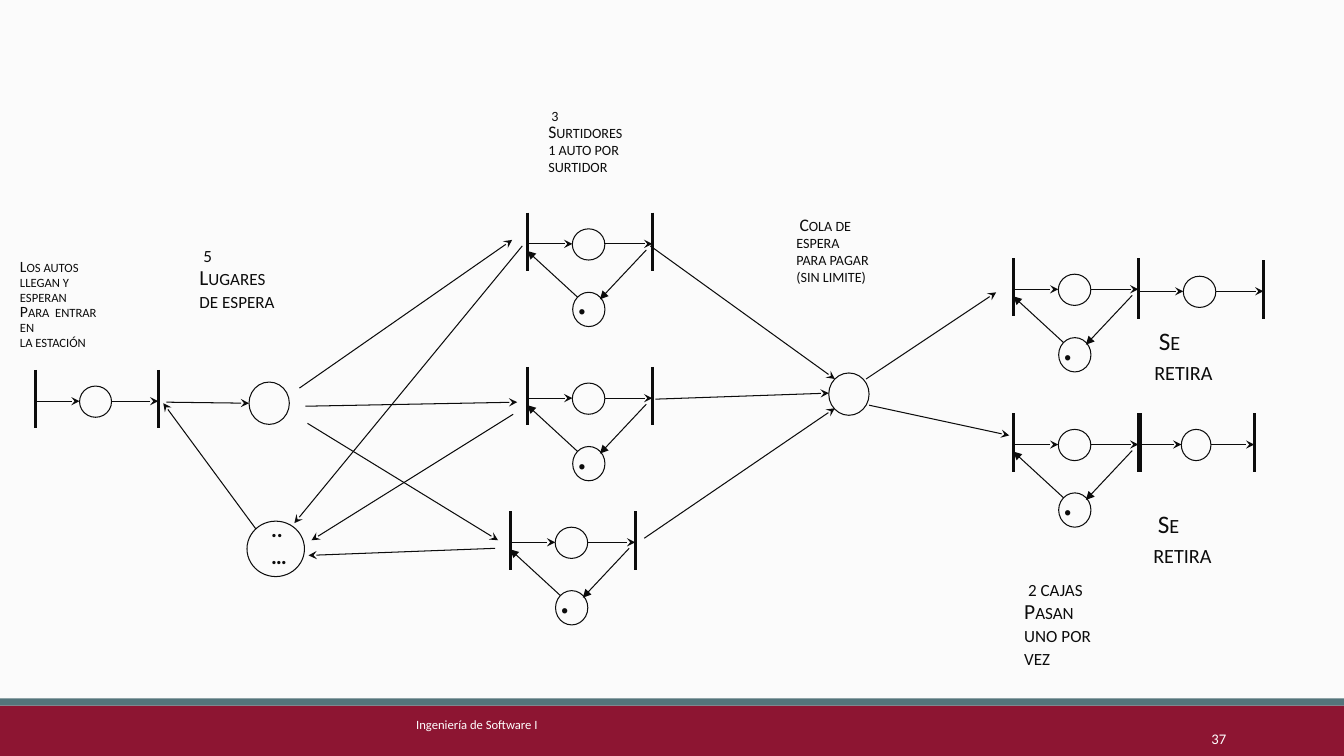
"""Build the Petri net slide of a petrol station with pumps, queues and cash desks."""
from dataclasses import dataclass
from typing import Any

import lxml.etree
import pptx
import pptx.dml.color
import pptx.enum.shapes
import pptx.enum.text
import pptx.oxml
import pptx.oxml.ns
import pptx.util

Inches = pptx.util.Inches
Pt = pptx.util.Pt
RGBColor = pptx.dml.color.RGBColor
SHAPE = pptx.enum.shapes.MSO_SHAPE
ANCHOR = pptx.enum.text.MSO_ANCHOR
ALIGN = pptx.enum.text.PP_ALIGN

INK = RGBColor(0x0C, 0x0C, 0x0C)
PAPER = RGBColor(0xFB, 0xFB, 0xFB)
WHITE = RGBColor(0xFF, 0xFF, 0xFF)
CRIMSON = RGBColor(0x8D, 0x15, 0x32)
TEAL = RGBColor(0x54, 0x74, 0x7B)
BAR_HEIGHT = 0.58


@dataclass(frozen=True)
class Caption:
    left: float
    top: float
    paragraphs: tuple[str, ...]
    size: float
    spacing: float = 1.0
    width: float = 1.0
    height: float = 1.0
    color: RGBColor = INK
    small_caps: bool = True
    bold: bool = False
    anchor: Any = ANCHOR.MIDDLE
    align: Any = ALIGN.LEFT


@dataclass(frozen=True)
class Place:
    left: float
    top: float
    width: float
    height: float


@dataclass(frozen=True)
class Arc:
    start: tuple[float, float]
    end: tuple[float, float]
    head: str = "stealth"
    weight: float = 0.75


@dataclass(frozen=True)
class Lane:
    left: float
    top: float
    span: float = 1.24
    has_token: bool = False


CAPTIONS = (
    Caption(4.03, 7.06, ("Ingeniería de Software I",), 9, width=5.27, height=0.4,
            color=WHITE, small_caps=False, anchor=ANCHOR.TOP),
    Caption(10.83, 7.06, ("37",), 10.5, width=1.43, height=0.4,
            color=WHITE, small_caps=False, anchor=ANCHOR.BOTTOM, align=ALIGN.RIGHT),
    Caption(11.35, 3.03, (" Se retira",), 18),
    Caption(5.34, 0.91, (" 3 Surtidores", "1 auto por surtidor"), 12.6, 0.8),
    Caption(7.8, 2, (" Cola de espera", "para pagar (sin limite)"), 12.6, 0.8),
    Caption(1.88, 2.26, (" 5 Lugares de espera",), 15.3, 0.9),
    Caption(0.1, 2.53, ("Los autos", "llegan y esperan", "Para  entrar en", "la estación"), 11.2, 0.8),
    Caption(10.06, 5.69, (" 2 cajas", "Pasan uno por vez"), 15.3, 0.9),
    Caption(11.34, 4.84, (" Se retira",), 18),
    Caption(2.59, 5.05, ("..", "…"), 19.8, 0.8, width=1.31, height=0.67, bold=True),
)

LANES = (
    Lane(0.35, 3.67, 1.22),
    Lane(5.23, 2.11, has_token=True),
    Lane(5.23, 3.64, has_token=True),
    Lane(5.06, 5.07, has_token=True),
    Lane(10.05, 2.56, has_token=True),
    Lane(10.05, 4.1, has_token=True),
    Lane(11.29, 2.58),
    Lane(11.31, 4.1, 1.13),
)

QUEUES = (
    Place(2.47, 3.79, 0.4, 0.42),
    Place(8.22, 3.7, 0.4, 0.42),
    Place(2.45, 5.17, 0.57, 0.55),
)

ARCS = (
    Arc((1.65, 3.99), (2.47, 4)),
    Arc((2.97, 3.85), (5.08, 2.38)),
    Arc((3.03, 4.03), (5.13, 3.99)),
    Arc((3.05, 4.2), (4.94, 5.36)),
    Arc((6.45, 2.44), (8.28, 3.76)),
    Arc((6.5, 3.96), (8.22, 3.9)),
    Arc((6.39, 5.34), (8.28, 4.05)),
    Arc((8.59, 3.76), (9.88, 2.9)),
    Arc((8.62, 4.02), (10.01, 4.32)),
    Arc((2.54, 5.25), (1.62, 4)),
    Arc((5.18, 2.44), (2.92, 5.19)),
    Arc((5.09, 4.11), (3.09, 5.36)),
    Arc((4.91, 5.44), (3.06, 5.51)),
)


def apply_format(target: Any, values: dict[str, Any]) -> None:
    for attribute, value in values.items():
        setattr(target, attribute, value)


def draw_band(slide: Any, top: float, height: float, color: RGBColor) -> None:
    band = slide.shapes.add_shape(SHAPE.RECTANGLE, 0, Inches(top), Inches(13.33), Inches(height))
    band.shadow.inherit = False
    band.fill.solid()
    band.fill.fore_color.rgb = color
    band.line.fill.background()


def draw_place(slide: Any, place: Place) -> None:
    circle = slide.shapes.add_shape(
        SHAPE.OVAL, *map(Inches, (place.left, place.top, place.width, place.height)))
    circle.shadow.inherit = False
    circle.fill.background()
    circle.line.color.rgb = INK
    circle.line.width = Pt(0.75)


def draw_arc(slide: Any, arc: Arc) -> None:
    line = slide.shapes.add_connector(
        pptx.enum.shapes.MSO_CONNECTOR.STRAIGHT, *map(Inches, arc.start + arc.end))
    line.line.color.rgb = INK
    line.line.width = Pt(arc.weight)
    if arc.head:
        outline = line.line._get_or_add_ln()
        lxml.etree.SubElement(outline, pptx.oxml.ns.qn("a:tailEnd"), type=arc.head)
    lxml.etree.SubElement(line._element.spPr, pptx.oxml.ns.qn("a:effectLst"))


def add_frame(slide: Any, left: float, top: float, width: float, height: float, anchor: Any) -> Any:
    box = slide.shapes.add_textbox(*map(Inches, (left, top, width, height)))
    apply_format(box.text_frame, {"word_wrap": True, "vertical_anchor": anchor})
    return box


def write_run(paragraph: Any, text: str, size: float, color: RGBColor, bold: bool, small_caps: bool) -> None:
    run = paragraph.add_run()
    run.text = text
    apply_format(run.font, {"name": "Calibri", "size": Pt(size), "bold": bold})
    run.font.color.rgb = color
    if small_caps:
        run._r.get_or_add_rPr().set("cap", "small")


def draw_caption(slide: Any, caption: Caption) -> None:
    frame = add_frame(slide, caption.left, caption.top, caption.width, caption.height,
                      caption.anchor).text_frame
    for index, text in enumerate(caption.paragraphs):
        paragraph = frame.add_paragraph() if index else frame.paragraphs[0]
        apply_format(paragraph, {"alignment": caption.align, "line_spacing": caption.spacing})
        write_run(paragraph, text, caption.size, caption.color, caption.bold, caption.small_caps)


def draw_token_loop(slide: Any, x: float, y: float) -> None:
    draw_place(slide, Place(x + 0.45, y + 0.79, 0.32, 0.34))
    token = add_frame(slide, x + 0.48, y + 0.65, 0.43, 0.7, ANCHOR.MIDDLE)
    token.rotation = 90
    for text, size, bold in ((" ", 24, False), (".", 32, True)):
        write_run(token.text_frame.paragraphs[0], text, size, INK, bold, True)
    draw_arc(slide, Arc((x + 1.18, y + 0.37), (x + 0.72, y + 0.86), "triangle"))
    draw_arc(slide, Arc((x + 0.5, y + 0.84), (x, y + 0.38), "triangle"))


def draw_lane(slide: Any, lane: Lane) -> None:
    x, y, right = lane.left, lane.top, lane.left + lane.span
    entry, diameter = x + 0.36 * lane.span, 0.26 * lane.span
    middle = y + 0.31
    draw_place(slide, Place(entry, y + 0.16, diameter, 0.31))
    for bar in (x, right):
        draw_arc(slide, Arc((bar, y), (bar, y + BAR_HEIGHT), "", 2))
    draw_arc(slide, Arc((x, middle), (entry, middle)))
    draw_arc(slide, Arc((entry + diameter, middle), (right, middle)))
    if lane.has_token:
        draw_token_loop(slide, x, y)


def main() -> None:
    deck = pptx.Presentation()
    apply_format(deck, {"slide_width": Inches(13.33), "slide_height": Inches(7.5)})
    slide = deck.slides.add_slide(deck.slide_layouts[6])
    slide.background.fill.solid()
    slide.background.fill.fore_color.rgb = PAPER
    draw_band(slide, 7, 0.5, CRIMSON)
    draw_band(slide, 6.93, 0.07, TEAL)
    for draw, parts in ((draw_caption, CAPTIONS), (draw_lane, LANES), (draw_place, QUEUES), (draw_arc, ARCS)):
        for part in parts:
            draw(slide, part)
    deck.save("out.pptx")


if __name__ == "__main__":
    main()
